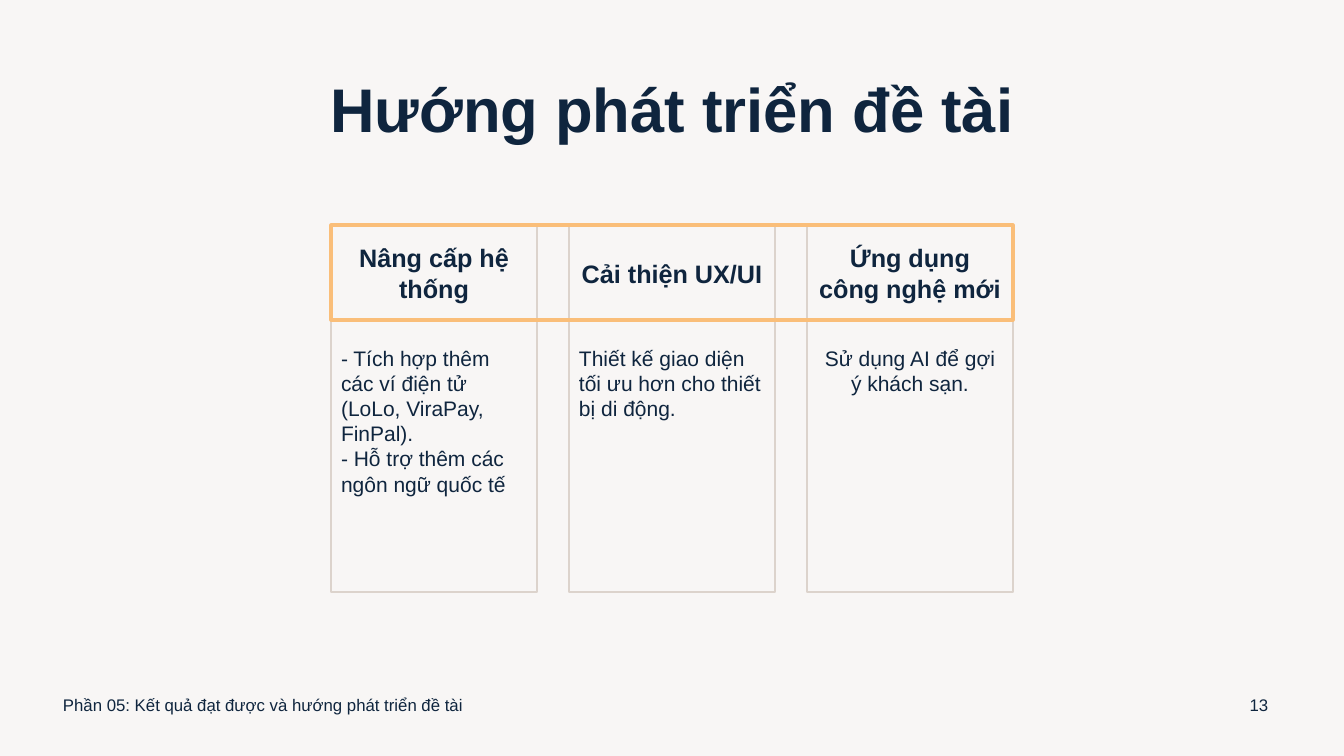
"""Builds the slide on future directions: a title, three framed columns and a footer."""
from pptx import Presentation
from pptx.dml.color import RGBColor
from pptx.enum.shapes import MSO_SHAPE
from pptx.enum.text import MSO_ANCHOR, MSO_AUTO_SIZE, PP_ALIGN
from pptx.util import Pt

PX = 914400 / 100.8
COLORS = {"paper": "F8F6F5", "navy": "0F253E", "border": "DCD3CC", "accent": "FABE79"}
LEFT, CENTER = PP_ALIGN.LEFT, PP_ALIGN.CENTER
TOP, MIDDLE = MSO_ANCHOR.TOP, MSO_ANCHOR.MIDDLE


def px(*lengths):
    return [round(n * PX) for n in lengths]


def write(sp, text, size, align=LEFT, anchor=MIDDLE, bold=False, top=5):
    tf = sp.text_frame
    tf.text = text
    tf.word_wrap = True
    tf.auto_size = MSO_AUTO_SIZE.NONE
    tf.vertical_anchor = anchor
    tf.margin_left, tf.margin_top, tf.margin_right, tf.margin_bottom = px(10, top, 10, 5)
    for p in tf.paragraphs:
        p.alignment = align
        for r in p.runs:
            r.font.name = "Arial"
            r.font.size = Pt(size)
            r.font.bold = bold
            r.font.color.rgb = RGBColor.from_string(COLORS["navy"])


prs = Presentation()
prs.slide_width, prs.slide_height = px(1344, 756)
s = prs.slides.add_slide(prs.slide_layouts[5])
s.background.fill.solid()
s.background.fill.fore_color.rgb = RGBColor.from_string(COLORS["paper"])

title = s.shapes.title
title.left, title.top, title.width, title.height = px(93, 40, 1159, 146)
write(title, "Hướng phát triển đề tài", 44, CENTER, bold=True)
title.text_frame.paragraphs[0].line_spacing = 0.9

columns = [
    ("Nâng cấp hệ thống",
     "- Tích hợp thêm các ví điện tử (LoLo, ViraPay, FinPal).\n"
     "- Hỗ trợ thêm các ngôn ngữ quốc tế", LEFT),
    ("Cải thiện UX/UI", "Thiết kế giao diện tối ưu hơn cho thiết bị di động.", LEFT),
    ("Ứng dụng công nghệ mới", "Sử dụng AI để gợi ý khách sạn.", CENTER),
]
boxes = []
for i, (heading, detail, align) in enumerate(columns):
    x = 331 + 238 * i
    head = s.shapes.add_shape(MSO_SHAPE.RECTANGLE, *px(x, 225, 206, 96))
    write(head, heading, 18, CENTER, bold=True)
    body = s.shapes.add_shape(MSO_SHAPE.RECTANGLE, *px(x, 321, 206, 271))
    write(body, detail, 15, align, TOP, top=24)
    boxes += [(head, "border", 1.5), (body, "border", 1.5)]

frame = s.shapes.add_shape(MSO_SHAPE.RECTANGLE, *px(331, 225, 682, 95))
boxes.append((frame, "accent", 2.25))
for sp, color, width in boxes:
    sp.shadow.inherit = False
    sp.fill.background()
    sp.line.color.rgb = RGBColor.from_string(COLORS[color])
    sp.line.width = Pt(width)

footer = s.shapes.add_textbox(*px(53, 685, 454, 40))
write(footer, "Phần 05: Kết quả đạt được và hướng phát triển đề tài", 12)
number = s.shapes.add_textbox(*px(1234, 685, 50, 40))
write(number, "13", 12, CENTER)

prs.save("out.pptx")
